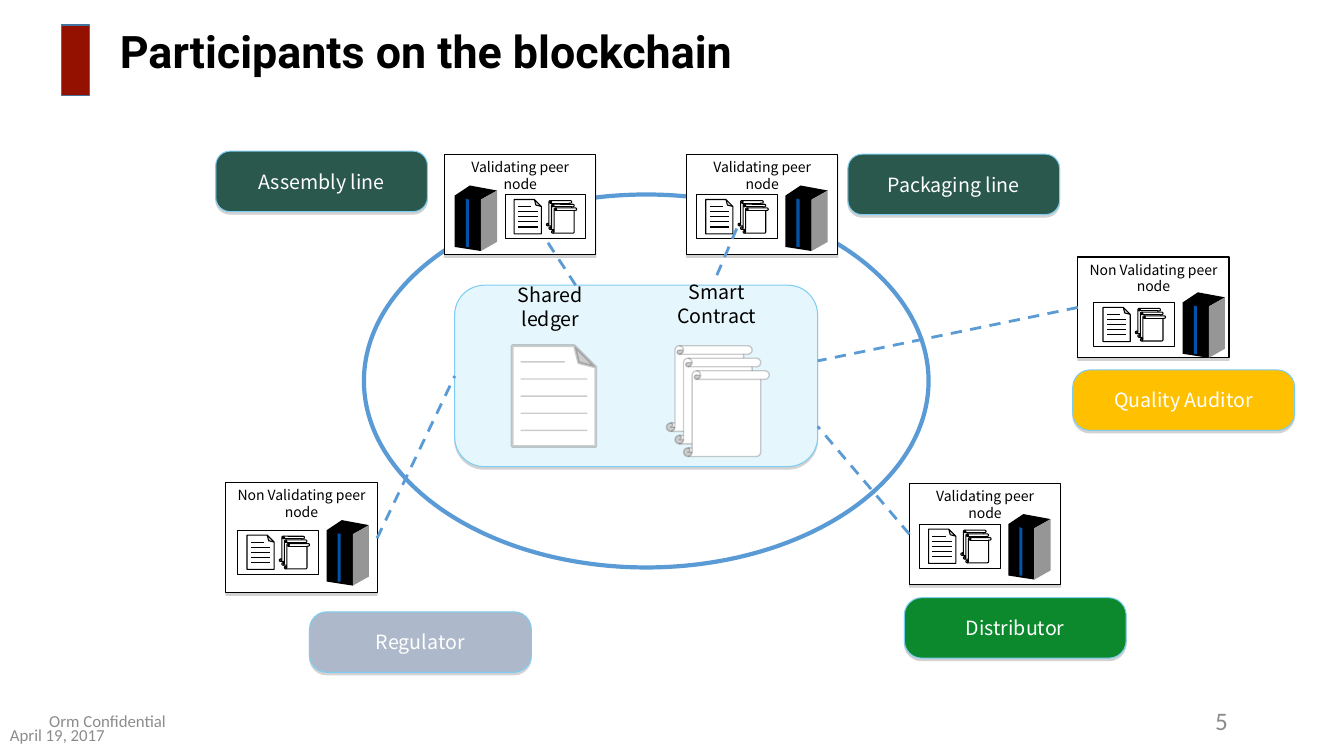
from dataclasses import dataclass

from lxml import etree
from pptx import Presentation
from pptx.dml.color import RGBColor
from pptx.enum.dml import MSO_LINE
from pptx.enum.shapes import MSO_CONNECTOR, MSO_SHAPE
from pptx.enum.text import MSO_ANCHOR, PP_ALIGN
from pptx.oxml.ns import qn
from pptx.util import Inches, Pt

RECT, ROUND = MSO_SHAPE.RECTANGLE, MSO_SHAPE.ROUNDED_RECTANGLE
OVAL, FOLD, SCROLL = MSO_SHAPE.OVAL, MSO_SHAPE.FOLDED_CORNER, MSO_SHAPE.VERTICAL_SCROLL
STRAIGHT, DASH = MSO_CONNECTOR.STRAIGHT, MSO_LINE.DASH
LEFT, CENTER = PP_ALIGN.LEFT, PP_ALIGN.CENTER
TOP, MIDDLE = MSO_ANCHOR.TOP, MSO_ANCHOR.MIDDLE


@dataclass(frozen=True)
class Theme:
    head: str = "Roboto"
    body: str = "Noto Sans CJK JP"
    foot: str = "Calibri"
    black: str = "000000"
    white: str = "FFFFFF"
    grey: str = "8C8C8C"
    red: str = "941100"
    edge: str = "43739E"
    blue: str = "5B9BD5"
    sky: str = "7DCDF2"
    pale: str = "E6F6FD"
    stripe: str = "0055AA"
    side: str = "969696"
    shade: str = "808080"
    pine: str = "2A584C"
    green: str = "0D892D"
    gold: str = "FFC000"
    steel: str = "ADB9CA"
    title: int = 32
    page: int = 18
    label: int = 14
    small: int = 12
    tiny: int = 10


T = Theme()


# Basic parts
def paint(line, color, width, alpha=None):
    line.color.rgb = RGBColor.from_string(color)
    line.width = Pt(width)
    if alpha:
        rgb = line._get_or_add_ln().find(".//" + qn("a:srgbClr"))
        etree.SubElement(rgb, qn("a:alpha"), val=str(alpha * 1000))


def drop(shape):
    effects = shape.element.spPr.find(qn("a:effectLst"))
    outer = etree.SubElement(effects, qn("a:outerShdw"), blurRad="0", dist=str(Pt(1.8)),
                             dir="5400000", rotWithShape="0")
    rgb = etree.SubElement(outer, qn("a:srgbClr"), val=T.shade)
    etree.SubElement(rgb, qn("a:alpha"), val="35000")


def bend(shape, adj):
    guides = shape.element.spPr.find(".//" + qn("a:avLst"))
    for guide in list(guides):
        guides.remove(guide)
    etree.SubElement(guides, qn("a:gd"), name="adj", fmla=f"val {round(adj * 100000)}")


def form(parent, kind, box, fill, edge, width=0.75, adj=None, alpha=None, cast=False):
    shape = parent.add_shape(kind, *map(Inches, box))
    shape.shadow.inherit = False
    if fill:
        shape.fill.solid()
        shape.fill.fore_color.rgb = RGBColor.from_string(fill)
    else:
        shape.fill.background()
    paint(shape.line, edge, width, alpha)
    if adj:
        bend(shape, adj)
    if cast:
        drop(shape)
    return shape


def rule(parent, start, end, color, width, alpha=None, dash=None):
    line = parent.add_connector(STRAIGHT, *map(Inches, start + end))
    paint(line.line, color, width, alpha)
    if dash:
        line.line.dash_style = dash
    etree.SubElement(line.element.spPr, qn("a:effectLst"))


def write(shape, text, size, color, font=T.body, align=CENTER, anchor=TOP, bold=False):
    frame = shape.text_frame
    frame.word_wrap = True
    frame.vertical_anchor = anchor
    para = frame.paragraphs[0]
    para.alignment = align
    run = para.add_run()
    run.text = text
    run.font.name, run.font.size, run.font.bold = font, Pt(size), bold
    run.font.color.rgb = RGBColor.from_string(color)
    return para


def note(parent, box, text, size, color, **style):
    return write(parent.add_textbox(*map(Inches, box)), text, size, color, **style)


# Icons
def sheet(parent, box, inset, gap, width, alpha=None):
    x, y, w, h = box
    page = form(parent, FOLD, box, T.white, T.black, width * 2 if alpha else width, 0.256, alpha)
    page.element.spPr.find(qn("a:xfrm")).set("flipV", "1")
    for i in range(5):
        top = y + h * (0.5 + (i - 2) * gap)
        end = 0.63 if i == 0 else 1 - inset
        rule(parent, (x + w * inset, top), (x + w * end, top), T.black, width, alpha)


def scrolls(parent, x, y, size, width, alpha=None):
    for i in range(3):
        box = (x + i * size * 0.1, y + i * size * 0.146, size, size)
        form(parent, SCROLL, box, T.white, T.black, width, 0.1, alpha)


def pages(parent, x, y):
    group = parent.add_group_shape().shapes
    form(group, RECT, (x, y, 0.8, 0.44), T.white, T.black)
    sheet(group, (x + 0.09, y + 0.05, 0.27, 0.34), 0.14, 0.15, 0.75)
    scrolls(group, x + 0.41, y + 0.06, 0.25, 0.75)


FACES = (
    (T.black, ((0.15, 0), (0, 0.1), (0, 0.61), (0.26, 0.65), (0.26, 0.14), (0.42, 0.05))),
    (T.stripe, ((0.14, 0.61), (0.11, 0.61), (0.11, 0.13), (0.14, 0.14))),
    (T.side, ((0.26, 0.65), (0.42, 0.56), (0.42, 0.05), (0.26, 0.14))),
)


def server(parent, x, y):
    group = parent.add_group_shape().shapes
    for color, face in FACES:
        spots = [(Inches(x + dx), Inches(y + dy)) for dx, dy in face]
        pen = group.build_freeform(*spots[0])
        pen.add_line_segments(spots[1:], close=True)
        shape = pen.convert_to_shape()
        shape.shadow.inherit = False
        shape.fill.solid()
        shape.fill.fore_color.rgb = RGBColor.from_string(color)
        shape.line.fill.background()


# Regions
def header(parent, x, y):
    form(parent, RECT, (x, y, 0.28, 0.7), T.red, T.edge, 1)
    para = note(parent, (x + 0.48, y, 11.5, 0.58), "Participants on the blockchain", T.title,
                T.black, font=T.head, align=LEFT, anchor=MIDDLE, bold=True)
    para.line_spacing = 0.9


def footer(parent, y):
    style = dict(size=T.small, color=T.grey, font=T.foot, align=LEFT, anchor=MIDDLE)
    note(parent, (11.81, y, 0.61, 0.4), "5", T.page, T.grey, font=T.foot)
    note(parent, (0.39, y, 2.03, 0.4), "Orm Confidential", **style)
    note(parent, (0, y + 0.21, 3.11, 0.25), "April 19, 2017", **style)


def core(parent, x, y):
    form(parent, ROUND, (x, y, 3.6, 1.8), T.pale, T.sky, adj=0.163, cast=True)
    form(parent, OVAL, (x - 0.9, y - 0.9, 5.6, 3.7), None, T.blue, 3)
    note(parent, (x + 0.3, y - 0.07, 1.3, 0.57), "Shared ledger", T.label, T.black)
    note(parent, (x + 1.9, y - 0.1, 1.4, 0.57), "Smart Contract", T.label, T.black)
    ledger = parent.add_group_shape().shapes
    sheet(ledger, (x + 0.57, y + 0.6, 0.83, 1), 0.1, 0.17, 1, 20)
    scrolls(parent.add_group_shape().shapes, x + 2.1, y + 0.6, 0.85, 1, 20)


def tag(parent, x, y, width, text, fill):
    adj = 0.235 if width < 2.2 else 0.286
    shape = form(parent, ROUND, (x, y, width, 0.6), fill, T.sky, adj=adj, cast=True)
    write(shape, text, T.label, T.white, anchor=MIDDLE)


def node(parent, x, y, height, text, tower, paper):
    shape = form(parent, RECT, (x, y, 1.5, height), T.white, T.black, cast=True)
    frame = shape.text_frame
    frame.margin_top = frame.margin_bottom = Inches(0.04)
    write(shape, text, T.tiny, T.black)
    server(parent, x + tower[0], y + tower[1])
    pages(parent, x + paper[0], y + paper[1])


PEER, GUEST = "Validating peer node", "Non Validating peer node"
TAGS = (
    (2.14, 1.5, 2.1, "Assembly line", T.pine),
    (8.41, 1.53, 2.1, "Packaging line", T.pine),
    (10.64, 3.67, 2.2, "Quality Auditor", T.gold),
    (8.97, 5.93, 2.2, "Distributor", T.green),
    (3.07, 6.07, 2.2, "Regulator", T.steel),
)
NODES = (  # left, top, height, text, server offset, pages offset
    (4.41, 1.53, 1, PEER, (0.1, 0.31), (0.6, 0.4)),
    (6.81, 1.53, 1, PEER, (0.98, 0.31), (0.1, 0.4)),
    (10.69, 2.55, 1, GUEST, (1.04, 0.35), (0.16, 0.45)),
    (9.02, 4.8, 1, PEER, (0.98, 0.3), (0.1, 0.4)),
    (2.24, 4.79, 1.09, GUEST, (1, 0.37), (0.12, 0.47)),
)
LINKS = (
    (5.71, 2.83, 5.41, 2.37), (7.11, 2.73, 7.31, 2.26), (10.69, 3.05, 8.11, 3.58),
    (9.02, 5.3, 8.11, 4.23), (3.74, 5.34, 4.51, 3.73),
)


# Slide
def build(board):
    header(board, 0.61, 0.25)
    footer(board, 6.95)
    core(board, 4.51, 2.83)
    for item in TAGS:
        tag(board, *item)
    for item in NODES:
        node(board, *item)
    for link in LINKS:
        rule(board, link[:2], link[2:], T.blue, 2, dash=DASH)


deck = Presentation()
deck.slide_width, deck.slide_height = Inches(13.33), Inches(7.5)
build(deck.slides.add_slide(deck.slide_layouts[6]).shapes)
deck.save("out.pptx")
